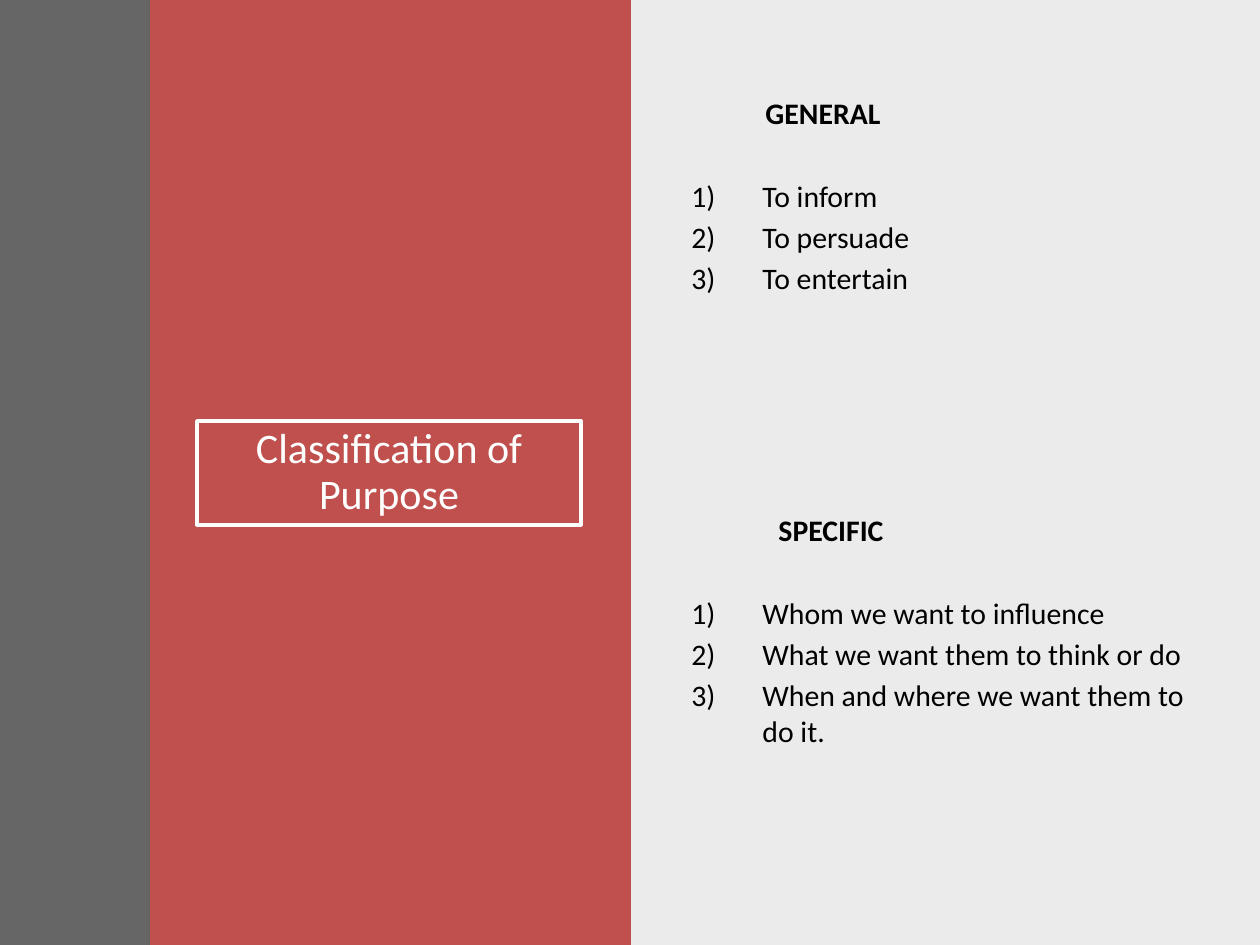
from dataclasses import dataclass

from lxml.etree import SubElement
from pptx import Presentation
from pptx.dml.color import RGBColor
from pptx.enum.shapes import MSO_SHAPE
from pptx.enum.text import MSO_ANCHOR, PP_ALIGN
from pptx.oxml.ns import qn
from pptx.util import Emu, Pt

PX = 914400 // 126
COLORS = {"black": "000000", "red": "C0504D", "gray": "404040", "white": "FFFFFF"}
FONT = "Calibri"


@dataclass
class Panel:
    left: int
    width: int
    color: str
    alpha: int = 100


@dataclass
class Topic:
    top: int
    head: str
    indent: int
    items: list[str]


PANELS = [
    Panel(630, 630, "black", 8),
    Panel(150, 481, "red"),
    Panel(0, 150, "gray", 80),
]
TOPICS = [
    Topic(89, "GENERAL", 74, ["To inform", "To persuade", "To entertain"]),
    Topic(506, "SPECIFIC", 87, [
        "Whom we want to influence",
        "What we want them to think or do",
        "When and where we want them to do it.",
    ]),
]


def rgb(name: str) -> RGBColor:
    return RGBColor.from_string(COLORS[name])


def px(*vals: int) -> list[Emu]:
    return [Emu(v * PX) for v in vals]


def write(para, text: str, *, size: float = 17, color: str = "black",
          bold: bool = False, align=PP_ALIGN.LEFT, line: float = 1.0,
          before: float = 0, left: int = 0, hang: int = 0,
          number: bool = False) -> None:
    para.alignment, para.line_spacing = align, line
    para.space_before = Pt(before)
    run = para.add_run()
    run.text = text
    font = run.font
    font.name, font.size, font.bold = FONT, Pt(size), bold
    font.color.rgb = rgb(color)
    props = para._p.get_or_add_pPr()
    props.set("marL", str(left * PX))
    props.set("indent", str(-hang * PX))
    if number:
        SubElement(props, qn("a:buFont"), typeface=FONT)
        SubElement(props, qn("a:buAutoNum"), type="arabicParenR")


def draw_panel(slide, panel: Panel) -> None:
    box = slide.shapes.add_shape(
        MSO_SHAPE.RECTANGLE, *px(panel.left, 0, panel.width, 945))
    box.shadow.inherit = False
    box.line.fill.background()
    box.fill.solid()
    box.fill.fore_color.rgb = rgb(panel.color)
    if panel.alpha < 100:
        tint = box.fill._xPr.find(".//" + qn("a:srgbClr"))
        SubElement(tint, qn("a:alpha"), val=str(panel.alpha * 1000))


def draw_title(slide, text: str) -> None:
    box = slide.shapes.add_textbox(*px(197, 421, 384, 104))
    box.line.color.rgb = rgb("white")
    box.line.width = Pt(2)
    frame = box.text_frame
    frame.word_wrap = True
    frame.vertical_anchor = MSO_ANCHOR.MIDDLE
    write(frame.paragraphs[0], text, size=24, color="white",
          align=PP_ALIGN.CENTER, line=0.9)


def draw_topic(slide, topic: Topic) -> None:
    frame = slide.shapes.add_textbox(*px(679, topic.top, 522, 352)).text_frame
    frame.word_wrap = True
    write(frame.paragraphs[0], topic.head, bold=True, left=topic.indent)
    for i, item in enumerate(topic.items):
        # The wide gap sets the list apart from its heading
        write(frame.add_paragraph(), item, before=3 if i else 26.7,
              left=71, hang=71, number=True)


deck = Presentation()
deck.slide_width, deck.slide_height = px(1260, 945)
slide = deck.slides.add_slide(deck.slide_layouts[6])

# Background panels
for panel in PANELS:
    draw_panel(slide, panel)

# Framed title and the two lists
draw_title(slide, "Classification of Purpose")
for topic in TOPICS:
    draw_topic(slide, topic)

deck.save("out.pptx")
